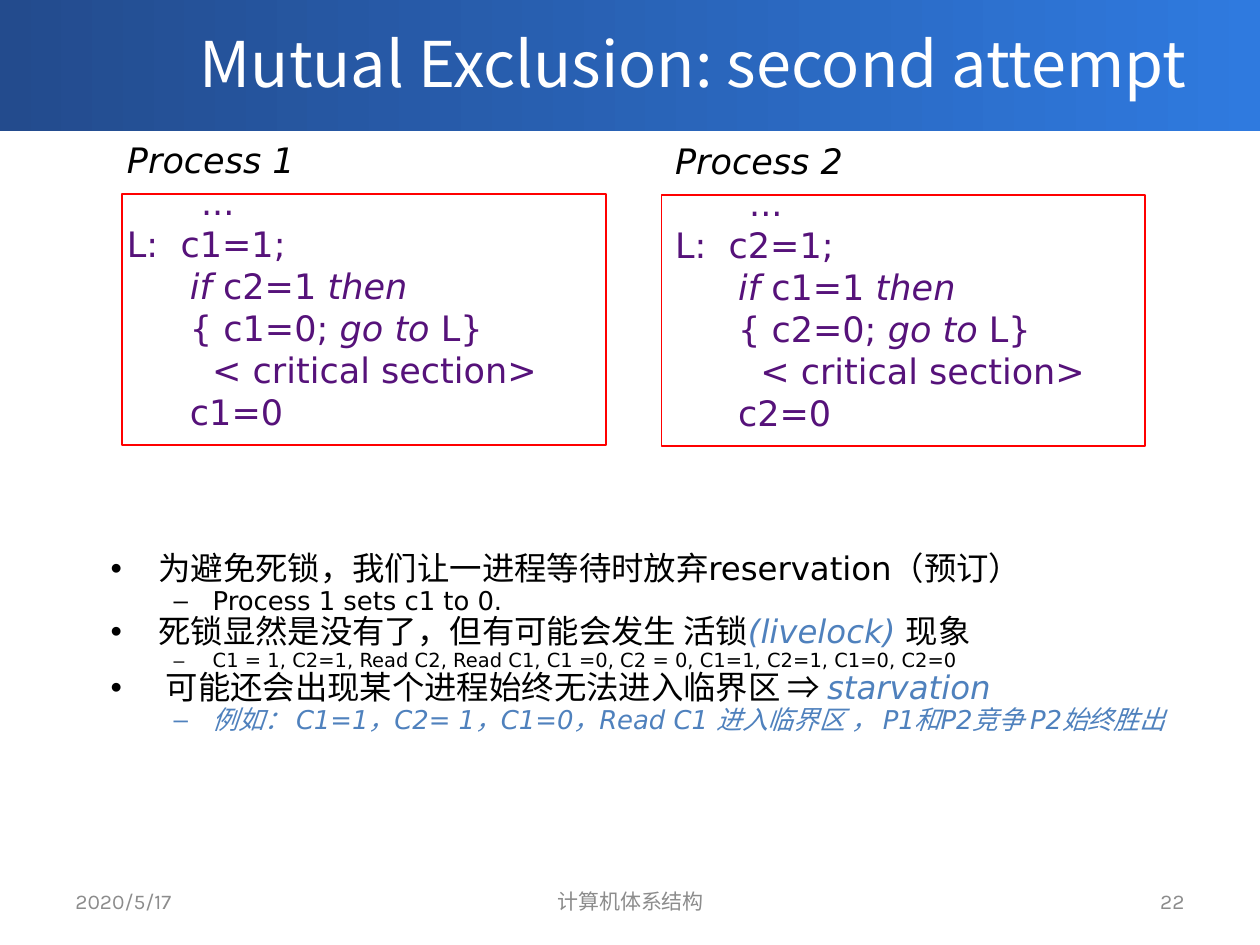
from lxml.etree import SubElement
from pptx import Presentation
from pptx.dml.color import RGBColor
from pptx.enum.shapes import MSO_SHAPE
from pptx.enum.text import MSO_ANCHOR, PP_ALIGN
from pptx.oxml.ns import qn
from pptx.util import Inches, Pt

COLORS = {"band_start": "234B8D", "band_end": "2F7ADF", "white": "FFFFFF", "black": "000000",
          "code": "56127A", "accent": "4F81BD", "frame": "FF0000", "footer": "8C8C8C"}
SANS, CJK = "DejaVu Sans", "Noto Sans CJK SC"

TITLE = "Mutual Exclusion: second attempt"

# Left and top of the code text, then of its frame; own and other flag
PROCESSES = [("1", "2", (0.91, 1.05), (0.97, 1.54)),
             ("2", "1", (5.26, 1.06), (5.25, 1.55))]

# Indent in inches and text; asterisks enclose italics
CODE = [(0, "*Process {own}*"),
        (0.5, " ..."),
        (0, "L:  c{own}=1;"),
        (0.5, "*if* c{other}=1 *then*"),
        (0.5, "{{ c{own}=0; *go to* L}}"),
        (0.5, "  < critical section>"),
        (0.5, "c{own}=0")]

# Level, size and runs of (text, font, color); accent text is italic
NOTES = [
    (0, 18.5, [("为避免死锁，我们让一进程等待时放弃reservation（预订）", SANS, "black")]),
    (1, 14.8, [("Process 1 sets c1 to 0.", SANS, "black")]),
    (0, 18.5, [("死锁显然是没有了，但有可能会发生 活锁", SANS, "black"),
               ("(livelock) ", SANS, "accent"), ("现象", SANS, "black")]),
    (1, 11.1, [("C1 = 1, C2=1, Read C2, Read C1, C1 =0, C2 = 0, C1=1, C2=1, C1=0, C2=0",
                SANS, "black")]),
    (0, 18.5, [(" 可能还会出现某个进程始终无法进入临界区 ", SANS, "black"),
               ("⇒ ", "Arial", "black"), ("starvation", SANS, "accent")]),
    (1, 14.8, [("例如： C1=1，C2= 1，C1=0，Read C1 进入临界区 ， P1和P2竞争 P2始终胜出",
                SANS, "accent")]),
]
BULLETS = [("•", 0.38, 0.38), ("–", 0.81, 0.31)]  # sign, margin, hanging indent

FOOTERS = [(0.5, 2.33, PP_ALIGN.LEFT, "2020/5/17"),
           (3.42, 3.17, PP_ALIGN.CENTER, "计算机体系结构"),
           (7.17, 2.33, PP_ALIGN.RIGHT, "22")]


def color(name):
    return RGBColor.from_string(COLORS[name])


def set_font(font, name, size, color_name):
    font.name, font.size = name, Pt(size)
    font.color.rgb = color(color_name)


def add_span(para, text, italic=False):
    span = para.add_run()
    span.text = text
    span.font.italic = italic
    SubElement(span.font._element, qn("a:ea"), typeface=CJK)
    return span


def add_text_box(page, left, top, width, height):
    box = page.shapes.add_textbox(Inches(left), Inches(top), Inches(width), Inches(height))
    box.text_frame.word_wrap = True
    return box.text_frame


def paragraph_at(frame, index):
    return frame.add_paragraph() if index else frame.paragraphs[0]


def add_rectangle(page, left, top, width, height):
    shape = page.shapes.add_shape(MSO_SHAPE.RECTANGLE, Inches(left), Inches(top),
                                  Inches(width), Inches(height))
    shape.shadow.inherit = False
    return shape


def add_header(page):
    band = add_rectangle(page, 0, -0.03, 10, 1.07)
    band.line.fill.background()
    band.fill.gradient()
    band.fill.gradient_angle = 0
    for stop, position, name in zip(band.fill.gradient_stops, (0, 1), ("band_start", "band_end")):
        stop.position = position
        stop.color.rgb = color(name)
    page.shapes._spTree.insert(2, band._element)  # behind the title

    title = page.shapes.title
    title.left, title.top, title.width, title.height = map(Inches, (1, 0, 9, 0.99))
    title.text_frame.text = TITLE
    title.text_frame.vertical_anchor = MSO_ANCHOR.MIDDLE
    para = title.text_frame.paragraphs[0]
    para.alignment = PP_ALIGN.CENTER
    set_font(para.font, CJK, 36, "white")


def add_process(page, own, other, text_at, frame_at):
    frame = add_text_box(page, *text_at, 3.57, 2.43)
    for index, (indent, line) in enumerate(CODE):
        para = paragraph_at(frame, index)
        para.line_spacing = Pt(24)
        set_font(para.font, SANS, 20, "code" if index else "black")
        para._p.get_or_add_pPr().set("marL", str(Inches(indent)))
        for part, text in enumerate(line.format(own=own, other=other).split("*")):
            if text:
                add_span(para, text, italic=part % 2 == 1)
    outline = add_rectangle(page, *frame_at, 3.84, 1.99)
    outline.fill.background()
    outline.line.color.rgb = color("frame")
    outline.line.width = Pt(1)


def add_notes(page):
    frame = add_text_box(page, 0.78, 4.34, 8.62, 1.8)
    for index, (level, size, spans) in enumerate(NOTES):
        para = paragraph_at(frame, index)
        para.level, para.line_spacing = level, 0.9
        sign, margin, hanging = BULLETS[level]
        properties = para._p.get_or_add_pPr()
        properties.set("marL", str(Inches(margin)))
        properties.set("indent", str(-Inches(hanging)))
        SubElement(properties, qn("a:buFont"), typeface="Arial")
        SubElement(properties, qn("a:buChar"), char=sign)
        for text, font, name in spans:
            span = add_span(para, text, italic=name == "accent")
            set_font(span.font, font, size, name)


def add_footers(page):
    for left, width, alignment, text in FOOTERS:
        frame = add_text_box(page, left, 6.95, width, 0.4)
        frame.vertical_anchor = MSO_ANCHOR.MIDDLE
        para = frame.paragraphs[0]
        para.alignment = alignment
        set_font(para.font, "Karla", 12, "footer")
        add_span(para, text)


def main():
    deck = Presentation()
    deck.slide_width, deck.slide_height = Inches(10), Inches(7.5)
    page = deck.slides.add_slide(deck.slide_layouts[5])
    add_header(page)
    add_footers(page)
    add_notes(page)
    for process in PROCESSES:
        add_process(page, *process)
    deck.save("out.pptx")


if __name__ == "__main__":
    main()
